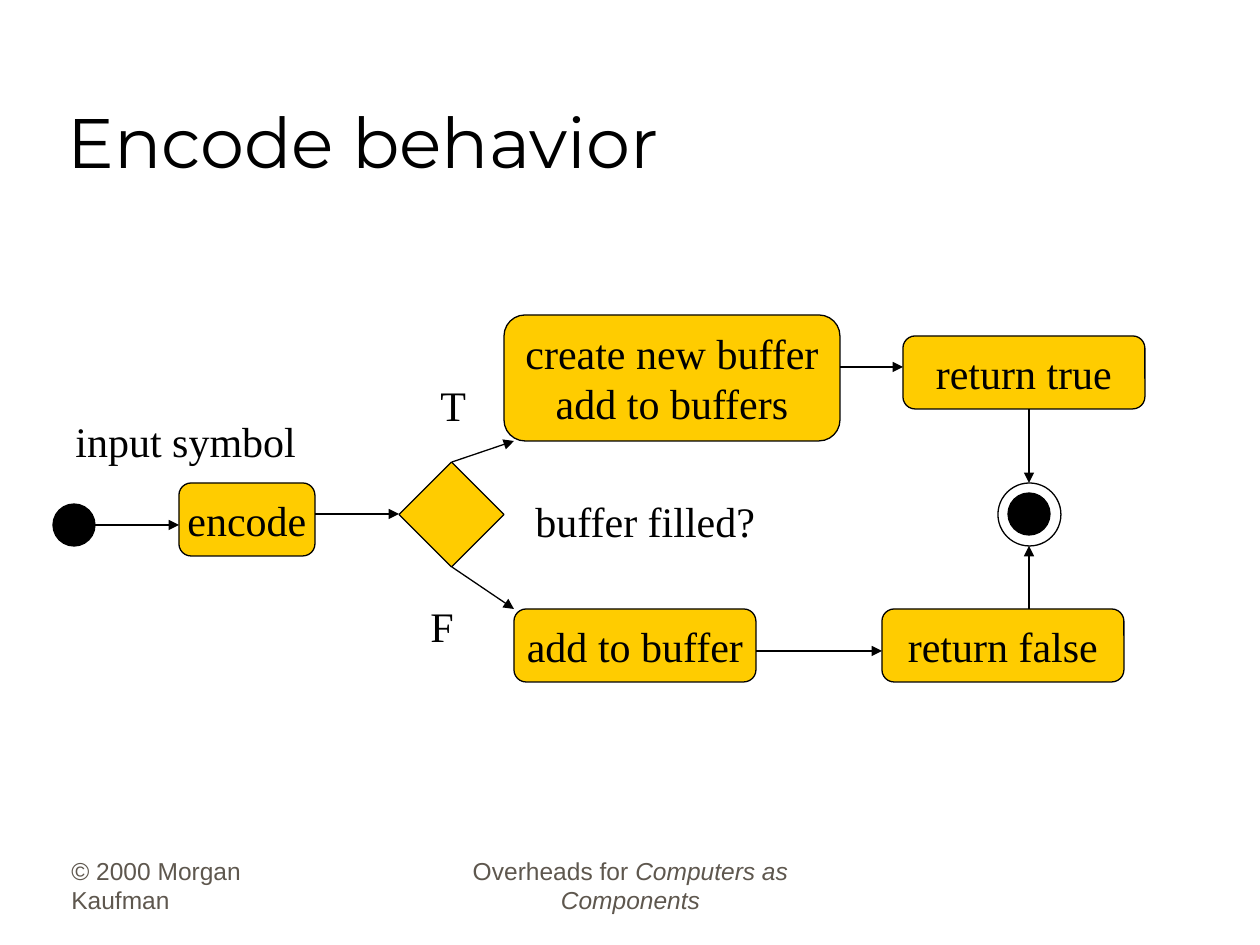
import pptx
import pptx.dml.color
import pptx.enum.shapes
import pptx.enum.text
import pptx.oxml.ns
import pptx.util
from lxml import etree

PX = pptx.util.Inches(1) / 126
BLACK, GOLD, GREY = "000000", "FFCC00", "5E574E"
SERIF = "Times New Roman"
SHAPE = pptx.enum.shapes.MSO_SHAPE
ALIGN = pptx.enum.text.PP_ALIGN
ANCHOR = pptx.enum.text.MSO_ANCHOR

STATES = [
    ((179, 483, 136, 73), ["encode"]),
    ((504, 315, 336, 126), ["create new buffer", "add to buffers"]),
    ((514, 609, 242, 73), ["add to buffer"]),
    ((903, 336, 242, 73), ["return true"]),
    ((882, 609, 242, 73), ["return false"]),
]
TRANSITIONS = [
    ((95, 525), (179, 525)),
    ((315, 514), (399, 514)),
    ((452, 462), (514, 441)),
    ((452, 567), (514, 609)),
    ((756, 651), (882, 651)),
    ((840, 367), (903, 367)),
    ((1029, 609), (1029, 546)),
    ((1029, 409), (1029, 483)),
]
LABELS = [
    ((63, 409, 246, 63), "input symbol"),
    ((523, 489, 246, 63), "buffer filled?"),
    ((428, 373, 50, 63), "T"),
    ((418, 594, 48, 63), "F"),
]
FOOTERS = [
    ((59, 858, 262, 63), ALIGN.LEFT, [("© 2000 Morgan Kaufman", False)]),
    ((431, 858, 399, 63), ALIGN.CENTER,
     [("Overheads for ", False), ("Computers as Components", True)]),
]


def emu(*lengths):
    return [round(length * PX) for length in lengths]


def rgb(code):
    return pptx.dml.color.RGBColor.from_string(code)


def add_run(paragraph, text, size=24, font=SERIF, color=BLACK, italic=False):
    run = paragraph.add_run()
    run.text = text
    run.font.size = pptx.util.Pt(size)
    run.font.name = font
    run.font.italic = italic
    run.font.color.rgb = rgb(color)


def set_title(slide, box, text):
    title = slide.shapes.title
    title.left, title.top, title.width, title.height = emu(*box)
    frame = title.text_frame
    frame.auto_size = pptx.enum.text.MSO_AUTO_SIZE.NONE
    frame.vertical_anchor = ANCHOR.BOTTOM
    frame.paragraphs[0].alignment = ALIGN.LEFT
    add_run(frame.paragraphs[0], text, 40, "Montserrat")


def add_node(slide, kind, box, fill=None):
    node = slide.shapes.add_shape(kind, *emu(*box))
    node.shadow.inherit = False
    if fill:
        node.fill.solid()
        node.fill.fore_color.rgb = rgb(fill)
    else:
        node.fill.background()
    node.line.color.rgb = rgb(BLACK)
    node.line.width = pptx.util.Pt(0.75)
    return node


def add_state(slide, box, lines):
    frame = add_node(slide, SHAPE.ROUNDED_RECTANGLE, box, GOLD).text_frame
    frame.word_wrap = False
    frame.vertical_anchor = ANCHOR.MIDDLE
    for index, line in enumerate(lines):
        paragraph = frame.add_paragraph() if index else frame.paragraphs[0]
        paragraph.alignment = ALIGN.CENTER
        add_run(paragraph, line)


def add_transition(slide, start, end):
    arrow = slide.shapes.add_connector(
        pptx.enum.shapes.MSO_CONNECTOR.STRAIGHT, *emu(*start, *end))
    arrow.line.color.rgb = rgb(BLACK)
    arrow.line.width = pptx.util.Pt(0.75)
    qn = pptx.oxml.ns.qn
    properties = arrow.line.fill and arrow._element.spPr
    etree.SubElement(properties.find(qn("a:ln")), qn("a:tailEnd"), type="triangle")
    etree.SubElement(properties, qn("a:effectLst"))


def add_label(slide, box, text):
    frame = slide.shapes.add_textbox(*emu(*box)).text_frame
    frame.word_wrap = False
    frame.auto_size = pptx.enum.text.MSO_AUTO_SIZE.SHAPE_TO_FIT_TEXT
    add_run(frame.paragraphs[0], text)


def add_footer(slide, box, alignment, parts):
    frame = slide.shapes.add_textbox(*emu(*box)).text_frame
    frame.word_wrap = True
    frame.vertical_anchor = ANCHOR.BOTTOM
    paragraph = frame.paragraphs[0]
    paragraph.alignment = alignment
    for text, italic in parts:
        add_run(paragraph, text, 14, "Arial", GREY, italic)


def main():
    deck = pptx.Presentation()
    deck.slide_width, deck.slide_height = emu(1260, 945)
    slide = deck.slides.add_slide(deck.slide_layouts.get_by_name("Title Only"))
    for footer in FOOTERS:
        add_footer(slide, *footer)
    set_title(slide, (55, 32, 1071, 157), "Encode behavior")
    for state in STATES:
        add_state(slide, *state)
    add_node(slide, SHAPE.OVAL, (53, 504, 42, 42), BLACK)
    add_node(slide, SHAPE.DIAMOND, (399, 462, 105, 105), GOLD)
    add_node(slide, SHAPE.OVAL, (1008, 493, 42, 42), BLACK)
    add_node(slide, SHAPE.OVAL, (998, 483, 63, 63))
    for transition in TRANSITIONS:
        add_transition(slide, *transition)
    for label in LABELS:
        add_label(slide, *label)
    deck.save("out.pptx")


if __name__ == "__main__":
    main()
